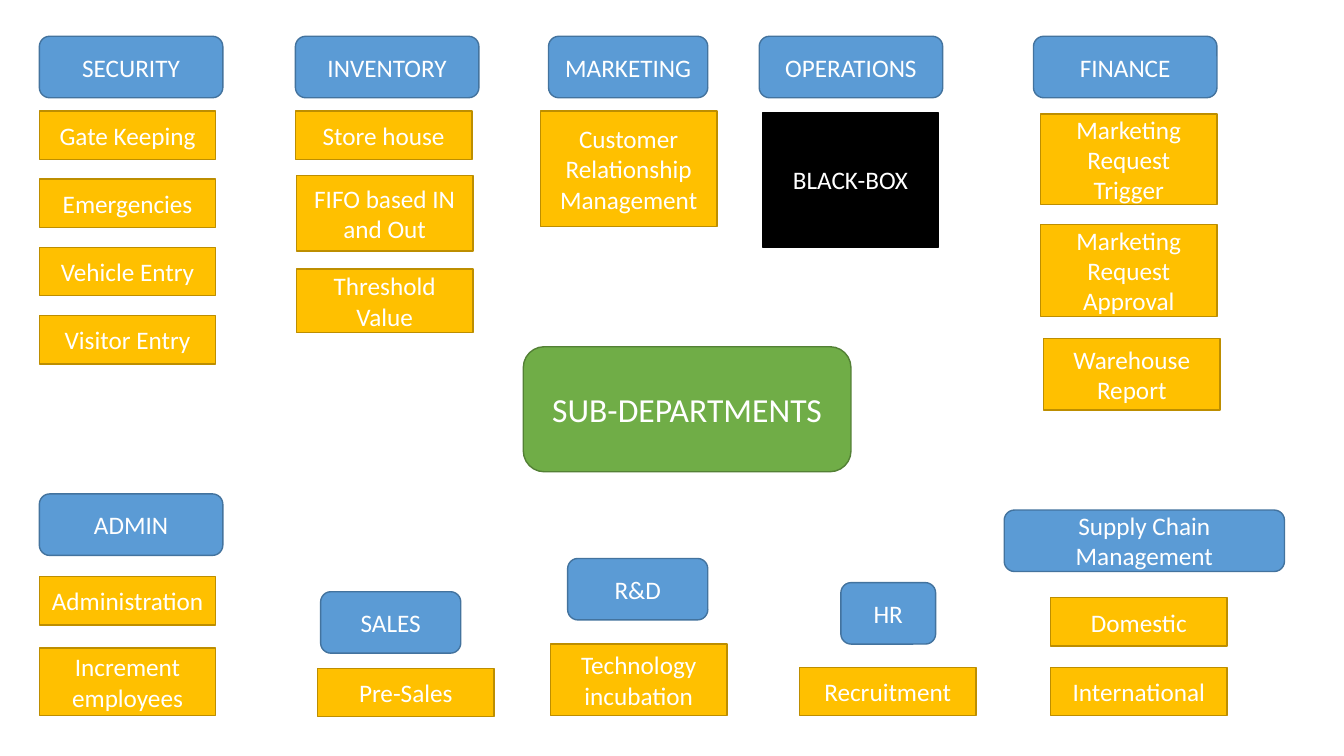
from dataclasses import dataclass

from pptx import Presentation
from pptx import util as u
from pptx.dml.color import RGBColor
from pptx.enum import shapes, text

COLORS = {
    "department": "5B9BD5", "department_line": "43739E",
    "task": "FFC000", "task_line": "BD8E00",
    "hub": "70AD47", "hub_line": "538035",
    "black_box": "000000", "black_box_line": "000000",
    "text": "FFFFFF",
}
FONT = "Calibri"
HEADER_HEIGHT = 0.61
HEADER_WIDTH = 1.82
TOP_ROW = 0.36
TASK_WIDTH = 1.75
TASK_HEIGHT = 0.48
SECURITY_PITCH = 0.677


@dataclass
class Task:
    """A box below a department header."""
    label: str
    left: float
    top: float
    height: float = TASK_HEIGHT
    style: str = "task"


@dataclass
class Department:
    """A rounded header with its tasks."""
    name: str
    left: float
    top: float
    width: float
    tasks: list[Task]


SECURITY_TASKS = ["Gate Keeping", "Emergencies", "Vehicle Entry", "Visitor Entry"]

DEPARTMENTS = [
    Department("SECURITY", 0.39, TOP_ROW, HEADER_WIDTH, [
        Task(label, 0.39, 1.1 + i * SECURITY_PITCH)
        for i, label in enumerate(SECURITY_TASKS)]),
    Department("INVENTORY", 2.93, TOP_ROW, HEADER_WIDTH, [
        Task("Store house", 2.93, 1.1),
        Task("FIFO based IN and Out", 2.94, 1.74, 0.75),
        Task("Threshold Value", 2.94, 2.67, 0.63)]),
    Department("MARKETING", 5.44, TOP_ROW, 1.58, [
        Task("Customer\nRelationship Management", 5.36, 1.1, 1.15)]),
    Department("OPERATIONS", 7.53, TOP_ROW, HEADER_WIDTH, [
        Task("BLACK-BOX", 7.56, 1.12, 1.33, "black_box")]),
    Department("FINANCE", 10.25, TOP_ROW, HEADER_WIDTH, [
        Task("Marketing Request Trigger", 10.32, 1.13, 0.9),
        Task("Marketing\nRequest Approval", 10.32, 2.23, 0.91),
        Task("Warehouse Report", 10.35, 3.36, 0.71)]),
    Department("ADMIN", 0.39, 4.9, HEADER_WIDTH, [
        Task("Administration", 0.39, 5.72),
        Task("Increment employees", 0.39, 6.43, 0.67)]),
    Department("SALES", 3.18, 5.87, 1.39, [Task("Pre-Sales", 3.15, 6.63)]),
    Department("R&D", 5.63, 5.54, 1.39, [
        Task("Technology incubation", 5.46, 6.39, 0.71)]),
    Department("HR", 8.34, 5.78, 0.94, [Task("Recruitment", 7.93, 6.62)]),
    Department("Supply Chain Management", 9.96, 5.06, 2.78, [
        Task("Domestic", 10.42, 5.93),
        Task("International", 10.42, 6.62)]),
]


def add_box(s, label: str, left: float, top: float, width: float, height: float,
            style: str, rounded: bool = False, size: int = 18) -> None:
    """Add a filled box with centred text."""
    kind = shapes.MSO_SHAPE.ROUNDED_RECTANGLE if rounded else shapes.MSO_SHAPE.RECTANGLE
    sp = s.shapes.add_shape(kind, u.Inches(left), u.Inches(top),
                            u.Inches(width), u.Inches(height))
    sp.shadow.inherit = False
    sp.fill.solid()
    sp.fill.fore_color.rgb = RGBColor.from_string(COLORS[style])
    sp.line.color.rgb = RGBColor.from_string(COLORS[f"{style}_line"])
    sp.line.width = u.Pt(1)
    tf = sp.text_frame
    tf.word_wrap = True
    tf.vertical_anchor = text.MSO_ANCHOR.MIDDLE
    tf.text = label
    for p in tf.paragraphs:
        p.alignment = text.PP_ALIGN.CENTER
        for r in p.runs:
            r.font.name = FONT
            r.font.size = u.Pt(size)
            r.font.color.rgb = RGBColor.from_string(COLORS["text"])


def add_department(s, department: Department) -> None:
    """Add a department header and its task boxes."""
    add_box(s, department.name, department.left, department.top,
            department.width, HEADER_HEIGHT, "department", rounded=True)
    for task in department.tasks:
        add_box(s, task.label, task.left, task.top, TASK_WIDTH, task.height, task.style)


def main() -> None:
    """Build and save the slide."""
    prs = Presentation()
    prs.slide_width, prs.slide_height = u.Inches(13.33), u.Inches(7.5)
    s = prs.slides.add_slide(prs.slide_layouts.get_by_name("Blank"))
    for department in DEPARTMENTS:
        add_department(s, department)
    add_box(s, "SUB-DEPARTMENTS", 5.19, 3.44, 3.25, 1.24, "hub", rounded=True, size=24)
    prs.save("out.pptx")


main()
